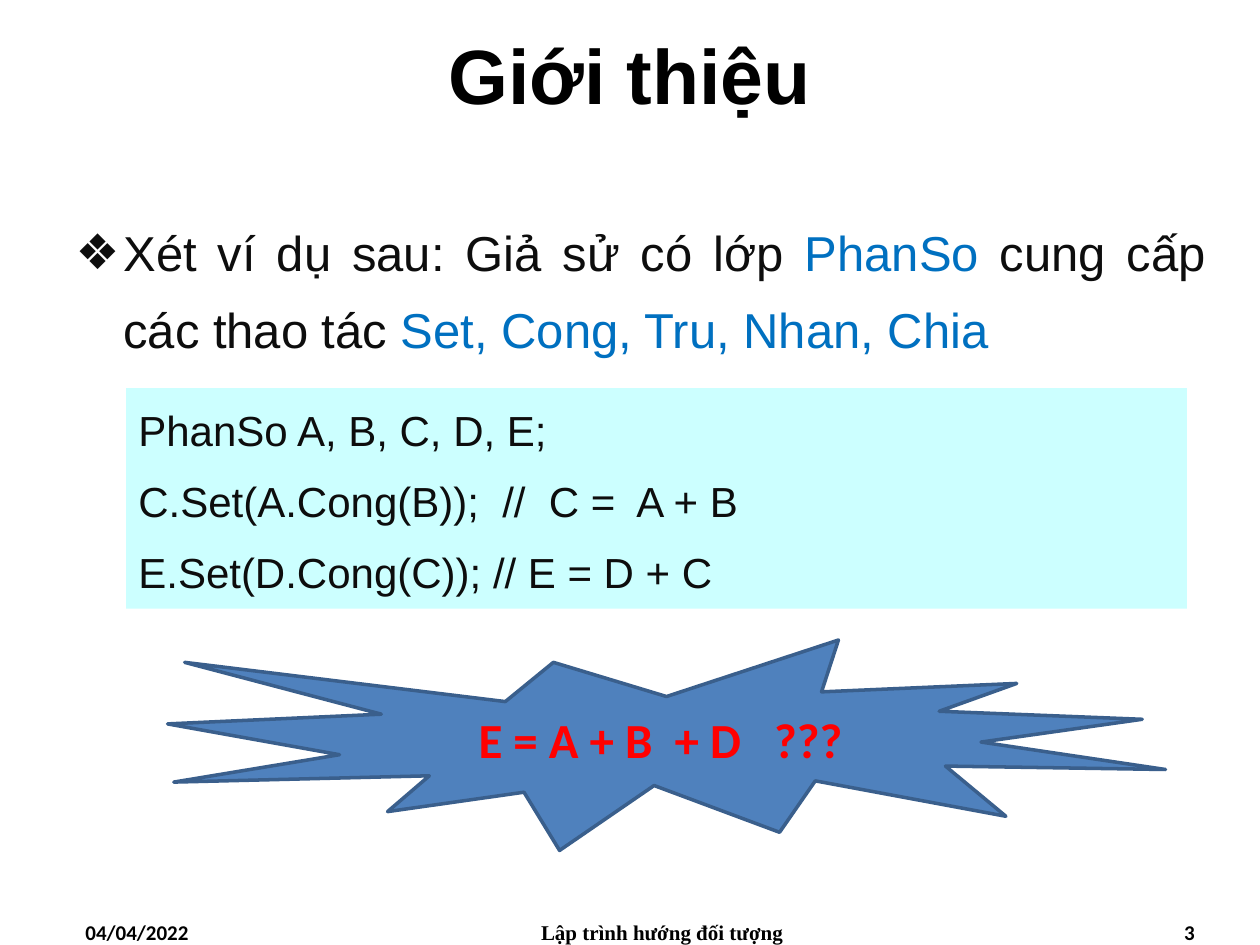
from lxml.etree import SubElement
from pptx import Presentation
from pptx.dml.color import RGBColor as RGB
from pptx.enum.shapes import MSO_SHAPE as SHAPE
from pptx.enum.text import MSO_ANCHOR as ANCHOR, MSO_AUTO_SIZE as AUTO, PP_ALIGN as ALIGN
from pptx.oxml.ns import qn
from pptx.util import Inches, Pt

COLORS = {
    "black": "000000", "text": "0D0D0D", "name": "0070C0", "code": "CCFFFF",
    "burst": "4F81BD", "edge": "3A5F8C", "alert": "FF0000",
}


def style(run, size, color, face="Arial", bold=False):
    font = run.font
    font.name, font.size, font.bold = face, Pt(size), bold
    font.color.rgb = RGB.from_string(COLORS[color])


def place(shape, left, top, width, height):
    shape.left, shape.top = Inches(left), Inches(top)
    shape.width, shape.height = Inches(width), Inches(height)


deck = Presentation()
deck.slide_width, deck.slide_height = Inches(10), Inches(7.5)
slide = deck.slides.add_slide(deck.slide_layouts[1])
shapes = slide.shapes

title = shapes.title
place(title, 0, 0, 10, 1.17)
frame = title.text_frame
frame.text = "Giới thiệu"
frame.auto_size = AUTO.NONE
frame.vertical_anchor = ANCHOR.MIDDLE
para = frame.paragraphs[0]
para.alignment = ALIGN.CENTER
style(para.runs[0], 44, "black", bold=True)

body = slide.placeholders[1]
place(body, 0.5, 1.58, 9.17, 5.39)
frame = body.text_frame
frame.auto_size = AUTO.NONE
para = frame.paragraphs[0]
props = para._p.get_or_add_pPr()
props.set("marL", str(Inches(0.38)))
props.set("indent", str(Inches(-0.38)))
SubElement(props, qn("a:buFont")).set("typeface", "Arial")
SubElement(props, qn("a:buChar")).set("char", "❖")
para.alignment = ALIGN.JUSTIFY
para.line_spacing = 1.3
para.space_before, para.space_after = Pt(0), Pt(3)
for text, color in [
    ("Xét ví dụ sau: Giả sử có lớp ", "text"),
    ("PhanSo", "name"),
    (" cung cấp các thao tác ", "text"),
    ("Set, Cong, Tru, Nhan, Chia", "name"),
]:
    run = para.add_run()
    run.text = text
    style(run, 28, color)

for left, width, text, face, align in [
    (0.58, 2.33, "04/04/2022", "Calibri", ALIGN.LEFT),
    (3.67, 3.17, "Lập trình hướng đối tượng", "Times New Roman", ALIGN.CENTER),
    (7.25, 2.33, "3", "Calibri", ALIGN.RIGHT),
]:
    box = shapes.add_textbox(Inches(left), Inches(7.25), Inches(width), Inches(0.25))
    frame = box.text_frame
    frame.word_wrap = True
    frame.text = text
    para = frame.paragraphs[0]
    para.alignment = align
    style(para.runs[0], 12, "black", face, True)

code = shapes.add_shape(SHAPE.RECTANGLE, Inches(1), Inches(3.08), Inches(8.42), Inches(1.75))
code.shadow.inherit = False
code.fill.solid()
code.fill.fore_color.rgb = RGB.from_string(COLORS["code"])
code.line.fill.background()
frame = code.text_frame
frame.vertical_anchor = ANCHOR.TOP
frame.text = "\n".join([
    "PhanSo A, B, C, D, E;",
    "C.Set(A.Cong(B));  //  C =  A + B",
    "E.Set(D.Cong(C)); // E = D + C",
])
for index, para in enumerate(frame.paragraphs):
    props = para._p.get_or_add_pPr()
    props.set("marL", str(Inches(0.38)))
    props.set("indent", str(Inches(-0.38)))
    para.alignment = ALIGN.LEFT
    para.line_spacing = 1.2
    para.space_before = Pt(6 if index else 0)
    style(para.runs[0], 24, "text")

burst = shapes.add_shape(SHAPE.EXPLOSION1, Inches(1.33), Inches(5.08), Inches(7.92), Inches(1.67))
burst.shadow.inherit = False
burst.fill.solid()
burst.fill.fore_color.rgb = RGB.from_string(COLORS["burst"])
burst.line.color.rgb = RGB.from_string(COLORS["edge"])
burst.line.width = Pt(2)
frame = burst.text_frame
frame.vertical_anchor = ANCHOR.MIDDLE
frame.text = "E = A + B  + D   ???"
para = frame.paragraphs[0]
para.alignment = ALIGN.CENTER
style(para.runs[0], 28, "alert", "Calibri", True)

deck.save("out.pptx")
